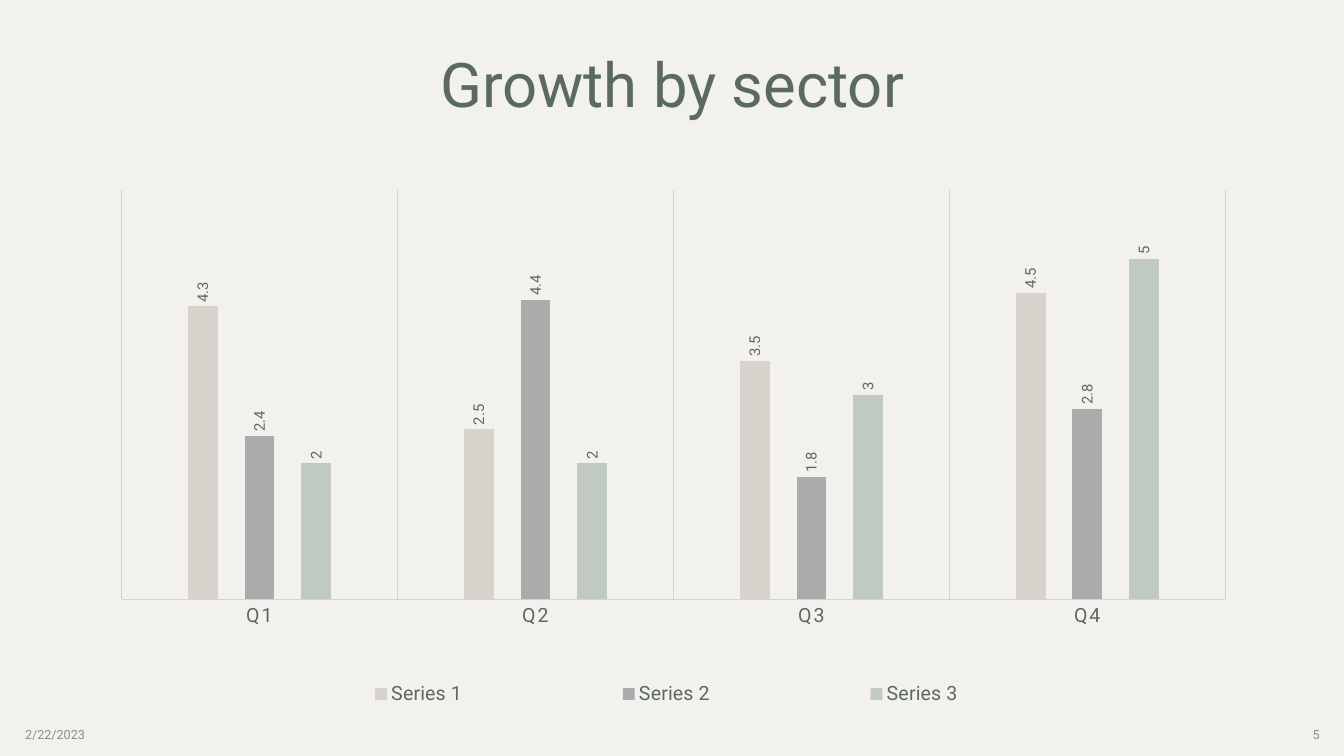
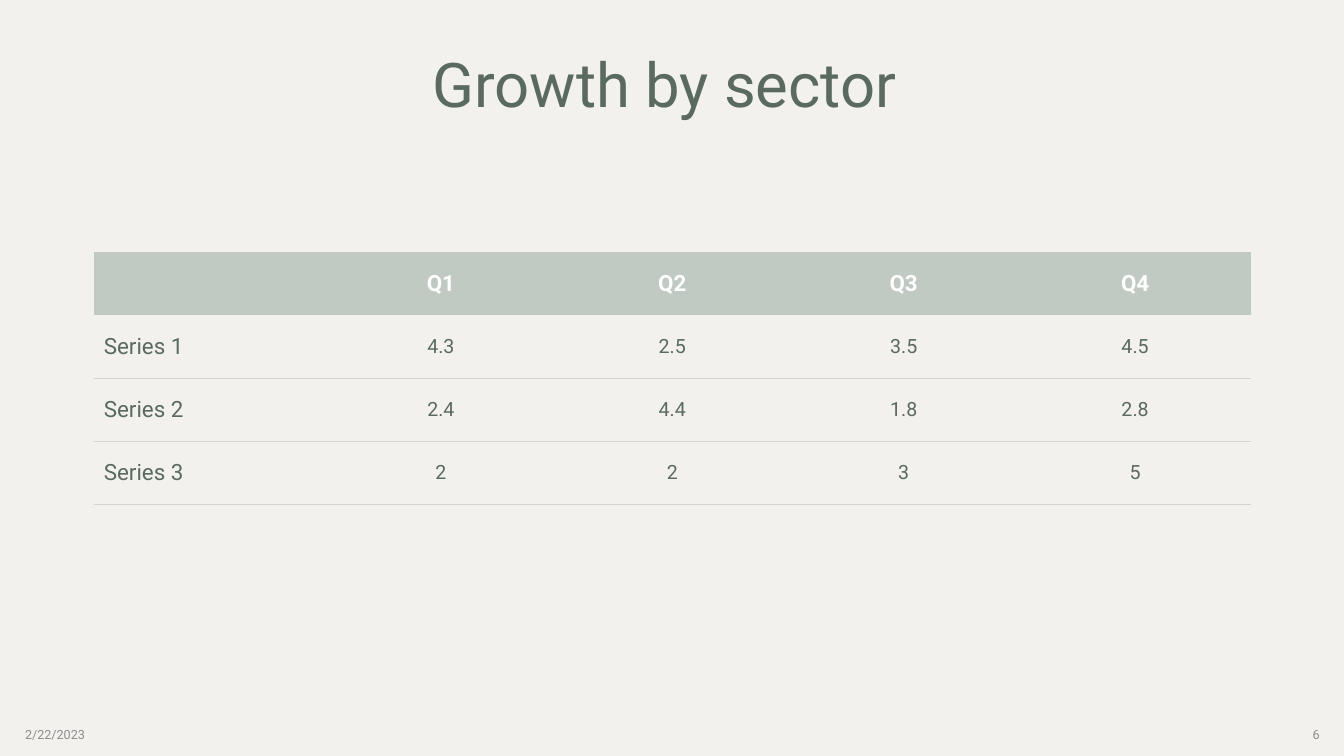
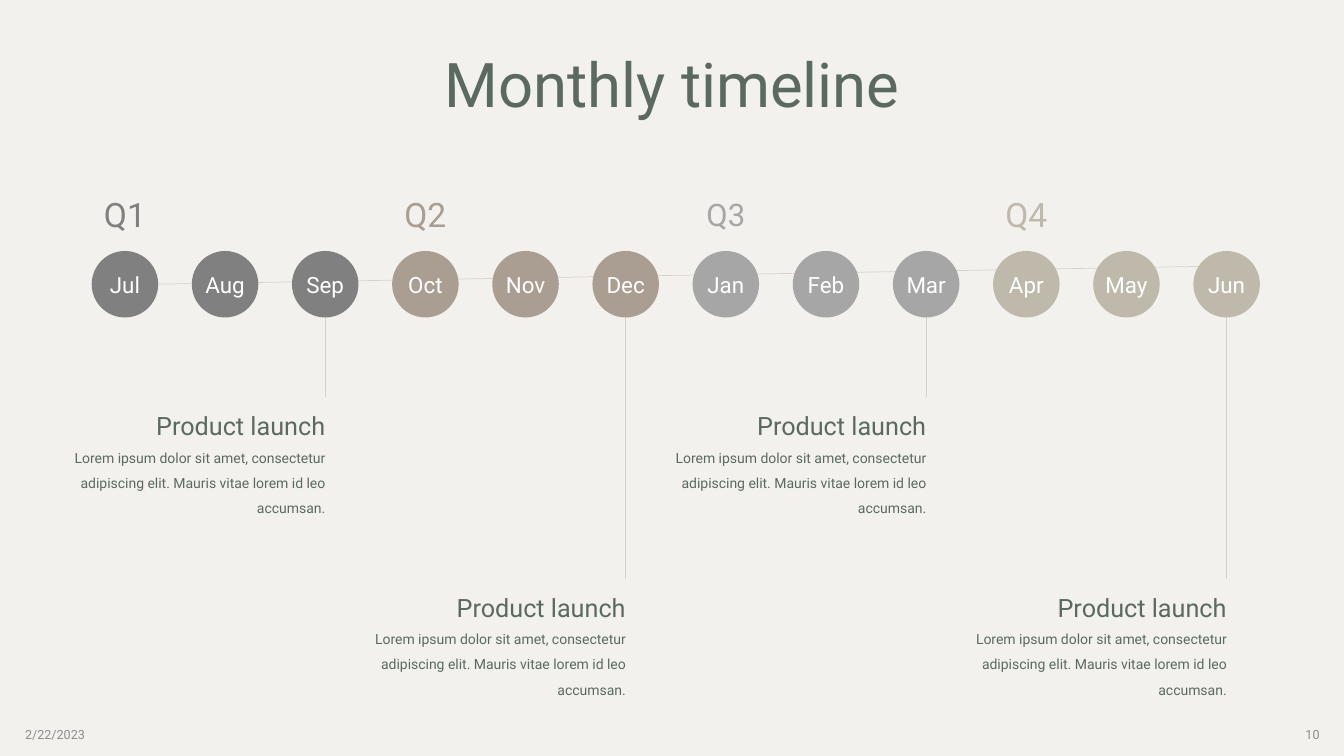
from lxml import etree
from pptx import Presentation
from pptx import util as u
from pptx.chart.data import CategoryChartData
from pptx.dml.color import RGBColor
from pptx.enum import chart as charts
from pptx.enum import shapes, text
from pptx.oxml import ns

COLORS = {
    "paper": "F2F1EE", "ink": "5B6A5E", "footer": "8C8C8C", "white": "FFFFFF",
    "line": "D8D2CD", "sand": "D8D2CD", "silver": "ABABAB", "sage": "C0C9C2",
    "gray": "808080", "taupe": "AA9D92", "ash": "A6A6A6", "stone": "BEB9AA",
}
QUARTERS = ["Q1", "Q2", "Q3", "Q4"]
SERIES = {
    "Series 1": ("sand", [4.3, 2.5, 3.5, 4.5]),
    "Series 2": ("silver", [2.4, 4.4, 1.8, 2.8]),
    "Series 3": ("sage", [2, 2, 3, 5]),
}
MONTHS = ["Jul", "Aug", "Sep", "Oct", "Nov", "Dec",
          "Jan", "Feb", "Mar", "Apr", "May", "Jun"]
LOREM = ("Lorem ipsum dolor sit amet, consectetur adipiscing elit. "
         "Mauris vitae lorem id leo accumsan.")
LEFT, CENTER, RIGHT = text.PP_ALIGN.LEFT, text.PP_ALIGN.CENTER, text.PP_ALIGN.RIGHT
TOP, MIDDLE = text.MSO_ANCHOR.TOP, text.MSO_ANCHOR.MIDDLE


class Deck:
    """Holds the shared style and draws elements on the current slide."""

    font_name = "Roboto"

    def __init__(self):
        self.presentation = Presentation()
        self.presentation.slide_width = u.Pt(960)
        self.presentation.slide_height = u.Pt(540)
        self.slide = None

    def color(self, name):
        return RGBColor.from_string(COLORS[name])

    def fill(self, target, name):
        target.fill.solid()
        target.fill.fore_color.rgb = self.color(name)

    def style(self, font, size, color="ink", bold=False):
        font.name, font.size, font.bold = self.font_name, u.Pt(size), bold
        font.color.rgb = self.color(color)

    def start(self, title):
        self.slide = self.presentation.slides.add_slide(self.presentation.slide_layouts[6])
        self.fill(self.slide.background, "paper")
        self.text((67, 9.5, 826.5, 106.5), [(title, 44, 0.9)], align=CENTER)

    def finish(self, number):
        for left, label, align in ((10.8, "2/22/2023", LEFT), (733.7, number, RIGHT)):
            self.text((left, 510.5, 216, 28.8), [(label, 9, None)], "footer", align)

    def paragraphs(self, frame, lines, color, align):
        for index, (content, size, spacing) in enumerate(lines):
            paragraph = frame.add_paragraph() if index else frame.paragraphs[0]
            paragraph.text = content
            paragraph.alignment = align
            if spacing:
                paragraph.line_spacing = spacing
            self.style(paragraph.font, size, color)

    def text(self, box, lines, color="ink", align=LEFT, anchor=MIDDLE, right_inset=7.2):
        frame = self.slide.shapes.add_textbox(*map(u.Pt, box)).text_frame
        frame.word_wrap = True
        frame.vertical_anchor = anchor
        frame.margin_right = u.Pt(right_inset)
        self.paragraphs(frame, lines, color, align)

    def line(self, *ends):
        connector = self.slide.shapes.add_connector(
            shapes.MSO_CONNECTOR.STRAIGHT, *map(u.Pt, ends))
        connector.line.width = u.Pt(0.5)
        connector.line.color.rgb = self.color("line")
        etree.SubElement(connector.element.spPr, ns.qn("a:effectLst"))

    def circle(self, left, top, size, label, color):
        shape = self.slide.shapes.add_shape(
            shapes.MSO_SHAPE.OVAL, *map(u.Pt, (left, top, size, size)))
        shape.shadow.inherit = False
        self.fill(shape, color)
        shape.line.fill.background()
        frame = shape.text_frame
        frame.word_wrap = False
        frame.vertical_anchor = MIDDLE
        frame.margin_left = frame.margin_right = frame.margin_top = frame.margin_bottom = 0
        self.paragraphs(frame, [(label, 16, None)], "white", CENTER)

    def layout(self, parent, position, inner, **area):
        for old in parent.findall(ns.qn("c:layout")):
            parent.remove(old)
        layout = etree.Element(ns.qn("c:layout"))
        manual = etree.SubElement(layout, ns.qn("c:manualLayout"))
        values = {"xMode": "edge", "yMode": "edge", **area}
        if inner:
            values = {"layoutTarget": "inner", **values}
        for tag, value in values.items():
            etree.SubElement(manual, ns.qn(f"c:{tag}")).set("val", str(value))
        parent.insert(position, layout)

    def chart(self, box):
        data = CategoryChartData()
        data.categories = QUARTERS
        for name, (_, values) in SERIES.items():
            data.add_series(name, values)
        chart = self.slide.shapes.add_chart(
            charts.XL_CHART_TYPE.COLUMN_CLUSTERED, *map(u.Pt, box), data).chart
        chart.has_title = False
        self.style(chart.font, 10)
        plot = chart.plots[0]
        plot.gap_width, plot.overlap, plot.vary_by_categories = 444, -90, False
        for series, (color, _) in zip(plot.series, SERIES.values()):
            self.fill(series.format, color)
            labels = series.data_labels
            labels.show_value = True
            labels.position = charts.XL_LABEL_POSITION.OUTSIDE_END
            self.style(labels.font, 10.6)
        axis = chart.category_axis
        axis.major_tick_mark = charts.XL_TICK_MARK.NONE
        axis.has_major_gridlines = True
        self.style(axis.tick_labels.font, 14)
        for line in (axis.format.line, axis.major_gridlines.format.line):
            line.width = u.Pt(0.75)
            line.color.rgb = self.color("line")
        scale = chart.value_axis
        scale.minimum_scale, scale.maximum_scale = 0, 6
        scale.has_major_gridlines = scale.visible = False
        chart.has_legend = True
        chart.legend.position = charts.XL_LEGEND_POSITION.TOP
        chart.legend.include_in_layout = False
        self.style(chart.legend.font, 14)
        root = chart.element
        for body in root.xpath(".//c:dLbls//a:bodyPr"):
            body.set("rot", "-5400000")
            body.set("vert", "horz")
        for properties in root.xpath(".//c:catAx//a:defRPr"):
            properties.set("spc", "120")
        self.layout(root.xpath(".//c:plotArea")[0], 0, True, x=0.024, y=0.021, w=0.954, h=0.763)
        self.layout(root.xpath(".//c:legend")[0], 1, False, x=0.11, y=0.92, w=0.77, h=0.08)

    def borders(self, cell, lined):
        properties = cell._tc.get_or_add_tcPr()
        for index, side in enumerate(("lnL", "lnR", "lnT", "lnB")):
            border = etree.Element(ns.qn(f"a:{side}"), w=str(u.Pt(0.5)))
            if lined[index]:
                solid = etree.SubElement(border, ns.qn("a:solidFill"))
                etree.SubElement(solid, ns.qn("a:srgbClr"), val=COLORS["line"])
            else:
                etree.SubElement(border, ns.qn("a:noFill"))
            properties.insert(index, border)

    def table(self, box, rows):
        table = self.slide.shapes.add_table(
            len(rows), len(rows[0]), *map(u.Pt, box)).table
        table.first_row = table.horz_banding = False
        for row_index, values in enumerate(rows):
            header = row_index == 0
            for column_index, value in enumerate(values):
                cell = table.cell(row_index, column_index)
                cell.vertical_anchor = MIDDLE
                if header:
                    self.fill(cell, "sage")
                else:
                    cell.fill.background()
                self.borders(cell, (False, False, row_index > 1, not header))
                paragraph = cell.text_frame.paragraphs[0]
                paragraph.text = str(value)
                paragraph.alignment = CENTER if column_index else LEFT
                size = 16 if header or column_index == 0 else 14
                self.style(paragraph.font, size, "white" if header else "ink", header)


def timeline(deck):
    left, top, size, pitch = 65.5, 179.3, 47.5, 71.54
    quarters = list(zip(QUARTERS, ("gray", "taupe", "ash", "stone"), (24, 24, 22.2, 24)))
    launches = []
    for quarter in range(len(quarters)):
        center = left + (3 * quarter + 2) * pitch + size / 2
        launches.append((center, 413.3 if quarter % 2 else 283.7))
    for center, end in launches:
        deck.line(center, 204.5, center, end)
    deck.line(left + size, 203, launches[-1][0], 190)
    for index, month in enumerate(MONTHS):
        deck.circle(left + index * pitch, top, size, month, quarters[index // 3][1])
    for center, end in launches:
        deck.text((center - 194.4, end + 6, 194.4, 81.4),
                  [("Product launch", 18, None), (LOREM, 10, 1.5)],
                  align=RIGHT, anchor=TOP, right_inset=0)
    for index, (label, color, font_size) in enumerate(quarters):
        deck.text((left + 3 * index * pitch, 134.6, size, 39.6),
                  [(label, font_size, 0.9)], color, CENTER)


def main():
    deck = Deck()
    deck.start("Growth by sector")
    deck.chart((67, 128, 826.5, 383))
    deck.finish("5")
    deck.start("Growth by sector ")
    deck.table((67, 180, 826.5, 180),
               [["", *QUARTERS]] + [[name, *values] for name, (_, values) in SERIES.items()])
    deck.finish("6")
    deck.start("Monthly timeline")
    timeline(deck)
    deck.finish("10")
    deck.presentation.save("out.pptx")


if __name__ == "__main__":
    main()
